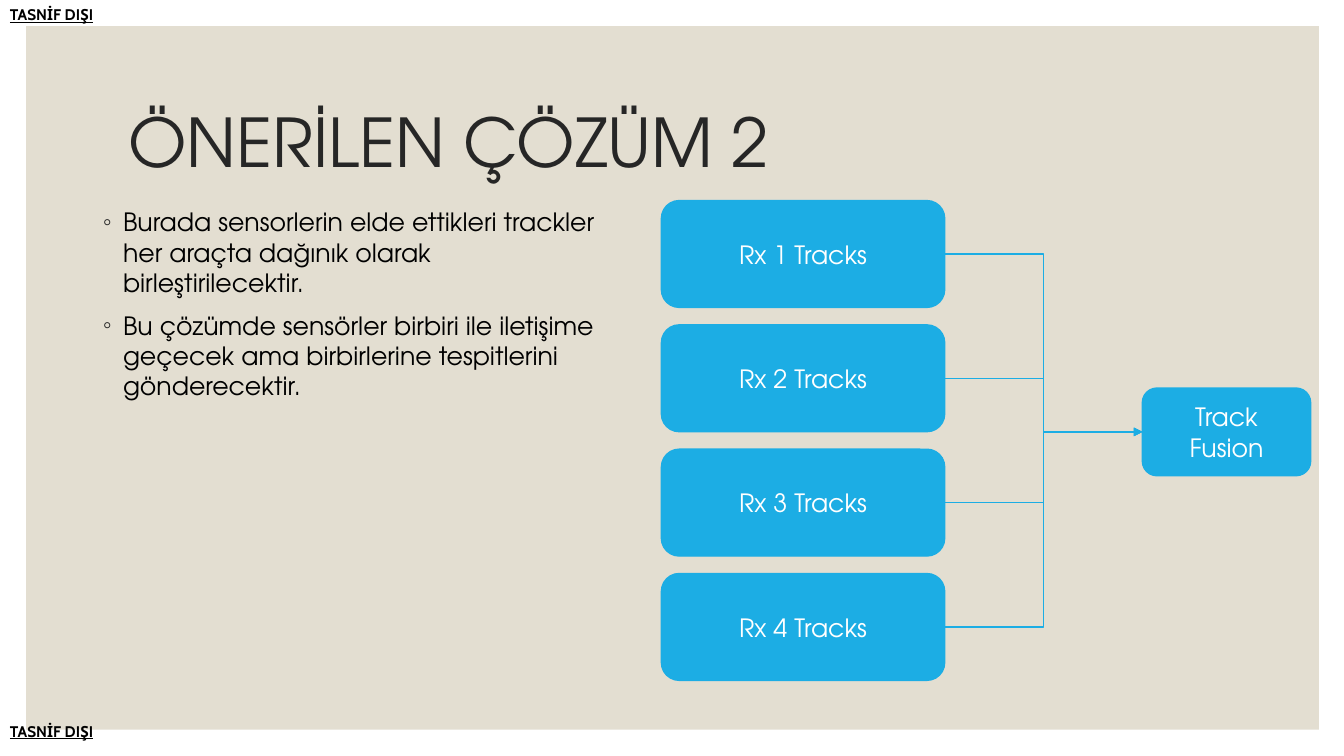
from lxml.etree import SubElement
from pptx import Presentation
from pptx.dml.color import RGBColor
from pptx.enum.shapes import MSO_CONNECTOR as Connector, MSO_SHAPE as Preset
from pptx.enum.text import MSO_ANCHOR as Anchor, MSO_AUTO_SIZE as AutoSize, PP_ALIGN as Align
from pptx.oxml.ns import qn
from pptx.util import Inches, Pt

COLORS = {"panel": "E3DED1", "title": "262626", "text": "000000",
          "box": "1CADE4", "box_text": "FFFFFF"}
BODY_FONT = "TeX Gyre Adventor"
FORMATS = {
    "title": {"name": BODY_FONT, "size": Pt(48)},
    "text": {"name": BODY_FONT, "size": Pt(18)},
    "box_text": {"name": BODY_FONT, "size": Pt(18)},
    "marking": {"name": "Cabin", "size": Pt(11), "bold": True, "underline": True},
}
RIGHT_SITE, LEFT_SITE = 3, 1


def rgb(name):
    return RGBColor.from_string(COLORS[name])


def place(shape, left, top, width, height):
    for name, value in zip(("left", "top", "width", "height"), (left, top, width, height)):
        setattr(shape, name, Inches(value))


class SlideBuilder:
    def __init__(self, slide):
        self.slide = slide
        self.shapes = slide.shapes

    def styled_run(self, paragraph, text, style, color):
        run = paragraph.add_run()
        run.text = text
        for name, value in FORMATS[style].items():
            setattr(run.font, name, value)
        run.font.color.rgb = rgb(color)

    def shape(self, preset, bounds, color):
        shape = self.shapes.add_shape(preset, *map(Inches, bounds))
        shape.shadow.inherit = False
        shape.fill.solid()
        shape.fill.fore_color.rgb = rgb(color)
        return shape

    def panel(self, *bounds):
        """Add the backdrop behind every other element."""
        panel = self.shape(Preset.RECTANGLE, bounds, "panel")
        panel.line.fill.background()
        self.shapes.element.insert(2, panel.element)

    def marking(self, text, *bounds):
        frame = self.shapes.add_textbox(*map(Inches, bounds)).text_frame
        frame.word_wrap = True
        self.styled_run(frame.paragraphs[0], text, "marking", "text")

    def title(self, text, *bounds):
        title = self.shapes.title
        place(title, *bounds)
        frame = title.text_frame
        frame.auto_size = AutoSize.NONE
        frame.vertical_anchor = Anchor.MIDDLE
        paragraph = frame.paragraphs[0]
        paragraph.alignment = Align.LEFT
        paragraph.line_spacing = 0.9
        self.styled_run(paragraph, text, "title", "title")

    def bullets(self, items, *bounds):
        body = self.slide.placeholders[1]
        place(body, *bounds)
        frame = body.text_frame
        frame.auto_size = AutoSize.NONE
        for index, text in enumerate(items):
            paragraph = frame.add_paragraph() if index else frame.paragraphs[0]
            paragraph.space_before = Pt(9 if index else 0)
            properties = paragraph._p.get_or_add_pPr()
            properties.set("marL", str(Inches(0.2)))
            properties.set("indent", str(Inches(-0.2)))
            bullet_color = SubElement(properties, qn("a:buClr"))
            SubElement(bullet_color, qn("a:srgbClr"), val=COLORS["title"])
            SubElement(properties, qn("a:buChar"), char="◦")
            self.styled_run(paragraph, text, "text", "text")

    def box(self, text, *bounds):
        box = self.shape(Preset.ROUNDED_RECTANGLE, bounds, "box")
        box.line.color.rgb = rgb("box")
        box.line.width = Pt(1)
        frame = box.text_frame
        frame.word_wrap = True
        frame.vertical_anchor = Anchor.MIDDLE
        paragraph = frame.paragraphs[0]
        paragraph.alignment = Align.CENTER
        self.styled_run(paragraph, text, "box_text", "box_text")
        return box

    def arrow(self, source, target):
        arrow = self.shapes.add_connector(Connector.ELBOW, 0, 0, 0, 0)
        arrow.begin_connect(source, RIGHT_SITE)
        arrow.end_connect(target, LEFT_SITE)
        arrow.line.color.rgb = rgb("box")
        arrow.line.width = Pt(1)
        properties = arrow.element.spPr
        SubElement(properties.find(qn("a:ln")), qn("a:tailEnd"), type="triangle")
        SubElement(properties, qn("a:effectLst"))


def main():
    presentation = Presentation()
    presentation.slide_width = Inches(13.33)
    presentation.slide_height = Inches(7.5)
    builder = SlideBuilder(presentation.slides.add_slide(presentation.slide_layouts[1]))

    builder.panel(0.26, 0.26, 12.82, 6.98)
    for top in (0, 7.11):
        builder.marking("TASNİF DIŞI", 0, top, 13.33, 0.28)
    builder.title("ÖNERİLEN ÇÖZÜM 2", 1.17, 0.7, 11, 1.5)
    builder.bullets([
        "Burada sensorlerin elde ettikleri trackler her araçta dağınık olarak birleştirilecektir.",
        "Bu çözümde sensörler birbiri ile iletişime geçecek ama birbirlerine tespitlerini "
        "gönderecektir.",
    ], 0.92, 2, 5.17, 4.76)

    first_top, last_top, receiver_count = 1.99, 5.69, 4
    pitch = (last_top - first_top) / (receiver_count - 1)
    receivers = [builder.box(f"Rx {index + 1} Tracks", 6.56, first_top + index * pitch, 2.81, 1.06)
                 for index in range(receiver_count)]
    fusion = builder.box("Track Fusion", 11.33, 3.85, 1.67, 0.87)
    for receiver in receivers:
        builder.arrow(receiver, fusion)

    presentation.save("out.pptx")


if __name__ == "__main__":
    main()
